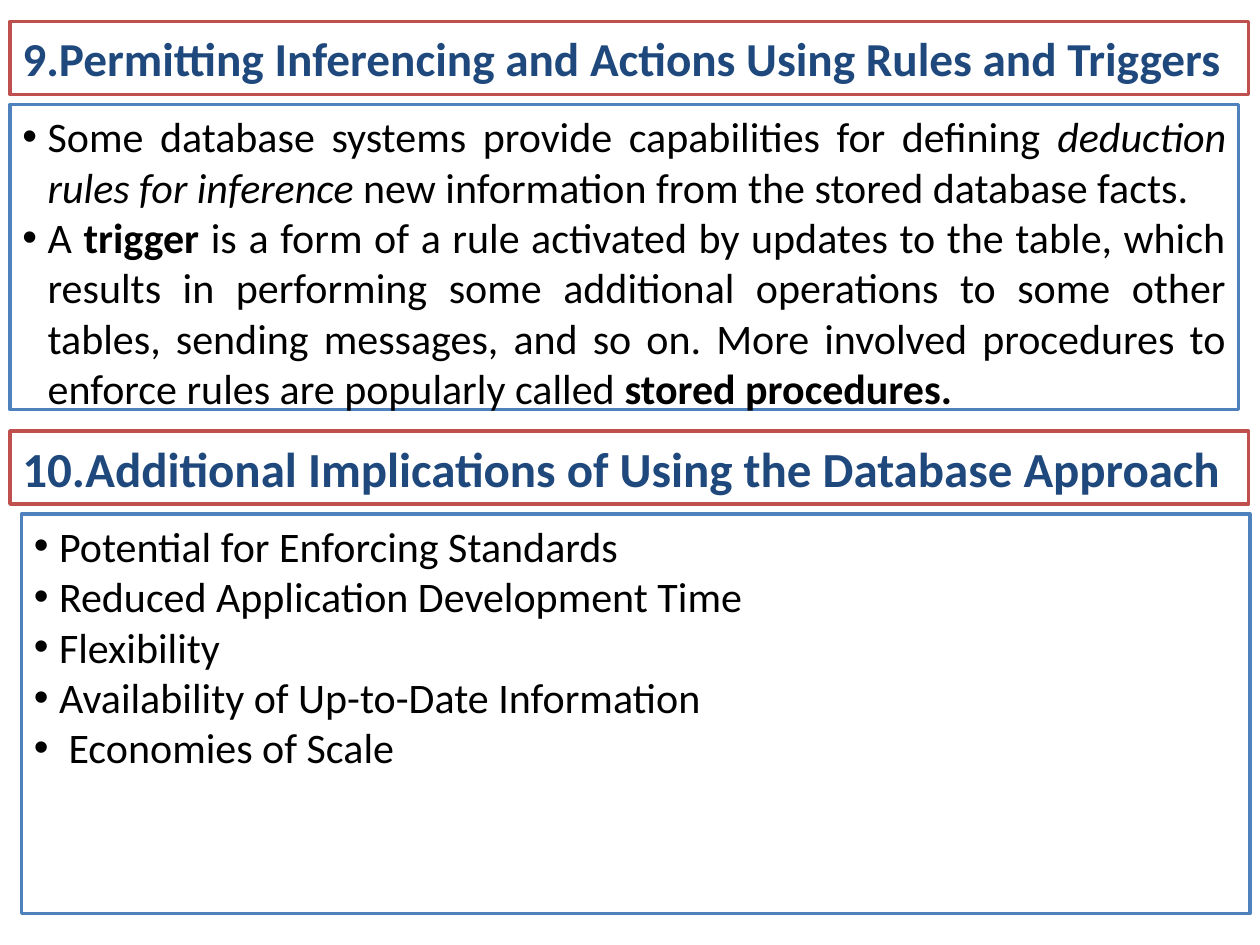
from lxml import etree
from pptx import Presentation
from pptx import util as u
from pptx.dml.color import RGBColor
from pptx.enum import shapes, text
from pptx.oxml.ns import qn

COLORS = {"paper": "FFFFFF", "heading": "1F497D", "body": "000000",
          "red": "C0504D", "blue": "4F81BD"}
FONT = "Calibri"
BODY_SIZE = 24
BULLET_INDENT = u.Inches(0.2)

# Headings: text, size, box (left, top, width, height)
HEADINGS = [
    ("9.Permitting Inferencing and Actions Using Rules and Triggers", 27,
     (0.08, 0.17, 9.83, 0.58)),
    ("10.Additional Implications of Using the Database Approach", 28,
     (0.08, 3.42, 9.83, 0.58)),
]

# Bullet lists: box, then paragraphs made of (text, style) spans
LISTS = [
    ((0.08, 0.83, 9.75, 2.42), [
        [("Some database systems provide capabilities for defining ", ""),
         ("deduction rules for inference ", "italic"),
         ("new information from the stored database facts.", "")],
        [("A ", ""),
         ("trigger", "bold"),
         (" is a form of a rule activated by updates to the table, which "
          "results in performing some additional operations to some other "
          "tables, sending messages, and so on. More involved procedures to "
          "enforce rules are popularly called ", ""),
         ("stored procedures.", "bold")],
    ]),
    ((0.17, 4.08, 9.75, 3.17), [
        [("Potential for Enforcing Standards", "")],
        [("Reduced Application Development Time", "")],
        [("Flexibility", "")],
        [("Availability of Up-to-Date Information", "")],
        [(" Economies of Scale", "")],
    ]),
]


def color(name):
    return RGBColor.from_string(COLORS[name])


def add_panel(page, place, outline, anchor):
    box = page.shapes.add_shape(shapes.MSO_SHAPE.RECTANGLE,
                                *[u.Inches(value) for value in place])
    box.shadow.inherit = False
    box.fill.solid()
    box.fill.fore_color.rgb = color("paper")
    box.line.color.rgb = color(outline)
    box.line.width = u.Pt(2)
    frame = box.text_frame
    frame.word_wrap = True
    frame.vertical_anchor = anchor
    return frame


def add_span(para, words, size, shade, style=""):
    span = para.add_run()
    span.text = words
    font = span.font
    font.name, font.size = FONT, u.Pt(size)
    font.color.rgb = color(shade)
    font.bold = style == "bold"
    font.italic = style == "italic"


def add_bullet(para):
    settings = para._p.get_or_add_pPr()
    settings.set("marL", str(BULLET_INDENT))
    settings.set("indent", str(-BULLET_INDENT))
    etree.SubElement(settings, qn("a:buFont")).set("typeface", "Arial")
    etree.SubElement(settings, qn("a:buChar")).set("char", "•")


def main():
    deck = Presentation()
    deck.slide_width, deck.slide_height = u.Inches(10), u.Inches(7.5)
    page = deck.slides.add_slide(deck.slide_layouts[6])

    for (heading, size, heading_place), (list_place, items) in zip(HEADINGS, LISTS):
        # Heading panel
        frame = add_panel(page, heading_place, "red", text.MSO_ANCHOR.MIDDLE)
        para = frame.paragraphs[0]
        para.alignment = text.PP_ALIGN.LEFT
        add_span(para, heading, size, "heading", "bold")

        # Bullet panel
        frame = add_panel(page, list_place, "blue", text.MSO_ANCHOR.TOP)
        for index, spans in enumerate(items):
            para = frame.add_paragraph() if index else frame.paragraphs[0]
            para.alignment = text.PP_ALIGN.JUSTIFY
            add_bullet(para)
            for words, style in spans:
                add_span(para, words, BODY_SIZE, "body", style)

    deck.save("out.pptx")


if __name__ == "__main__":
    main()
